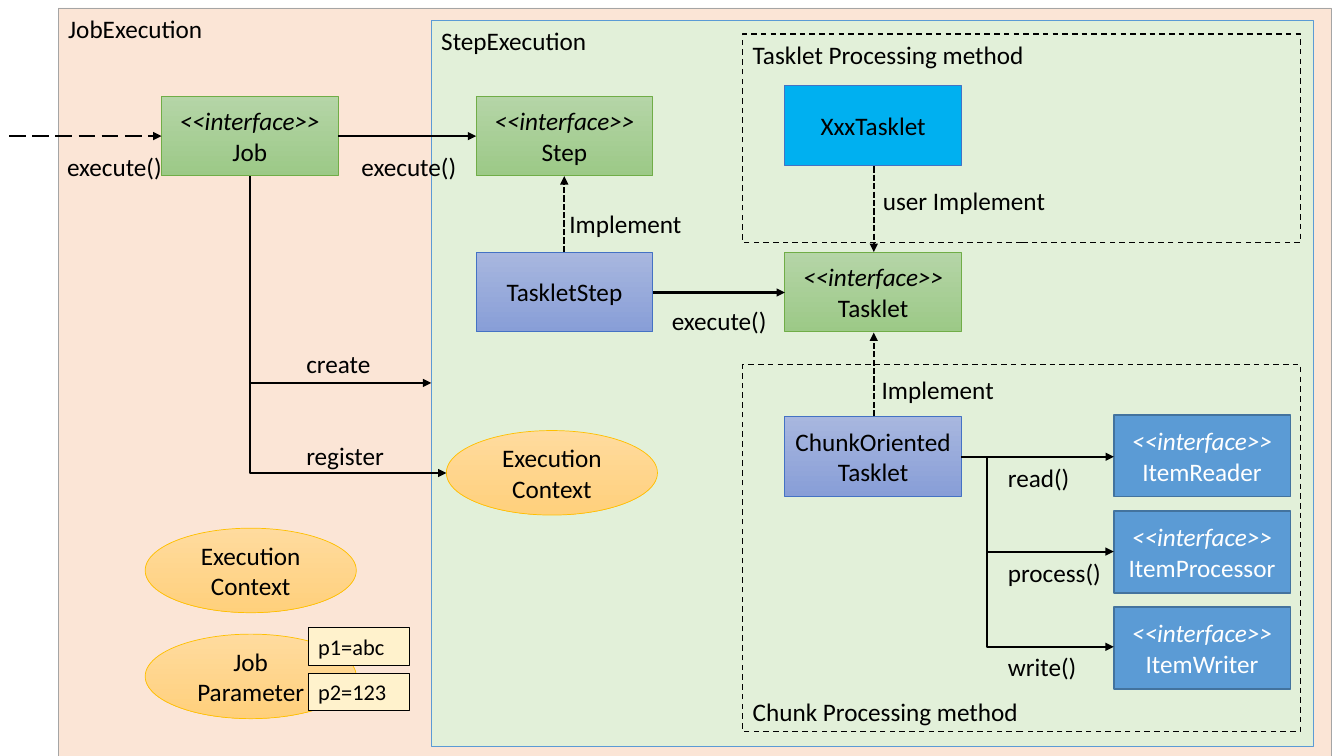
"""Build the slide showing how a job execution drives steps and tasklets."""
from lxml import etree
from pptx import Presentation
from pptx.dml.color import RGBColor
from pptx.enum import dml, shapes, text
from pptx.oxml import ns
from pptx.util import Cm, Pt

BLACK = RGBColor(0x00, 0x00, 0x00)
WHITE = RGBColor(0xFF, 0xFF, 0xFF)
PEACH = RGBColor(0xFB, 0xE5, 0xD6)
GRAY = RGBColor(0xA5, 0xA5, 0xA5)
PALE_GREEN = RGBColor(0xE2, 0xF0, 0xD9)
BLUE = RGBColor(0x5B, 0x9B, 0xD5)
DARK_BLUE = RGBColor(0x43, 0x73, 0x9E)
INDIGO = RGBColor(0x44, 0x72, 0xC4)
SKY = RGBColor(0x00, 0xB0, 0xF0)
GREEN = RGBColor(0x70, 0xAD, 0x47)
GOLD = RGBColor(0xFF, 0xC0, 0x00)
CREAM = RGBColor(0xFF, 0xF2, 0xCC)
GREEN_FADE = (RGBColor(0xB5, 0xD5, 0xA7), RGBColor(0x9C, 0xC9, 0x87))
INDIGO_FADE = (RGBColor(0xA8, 0xB7, 0xDF), RGBColor(0x88, 0x9E, 0xD7))
GOLD_FADE = (RGBColor(0xFF, 0xDB, 0x9E), RGBColor(0xFF, 0xD0, 0x7C))

RECT = shapes.MSO_SHAPE.RECTANGLE
OVAL = shapes.MSO_SHAPE.OVAL
DASH = dml.MSO_LINE.DASH
SHORT_DASH = dml.MSO_LINE.SQUARE_DOT
LONG_DASH = dml.MSO_LINE.LONG_DASH
TOP, MIDDLE, BOTTOM = (text.MSO_ANCHOR.TOP, text.MSO_ANCHOR.MIDDLE,
                       text.MSO_ANCHOR.BOTTOM)
LEFT, CENTER = text.PP_ALIGN.LEFT, text.PP_ALIGN.CENTER

deck = Presentation()
deck.slide_width, deck.slide_height = Cm(33.87), Cm(19.05)
page = deck.slides.add_slide(deck.slide_layouts[6])


def write(box, words, anchor, align, size=18, color=BLACK):
    frame = box.text_frame
    frame.word_wrap = True
    frame.vertical_anchor = anchor
    frame.text = words
    for para in frame.paragraphs:
        para.alignment = align
        para.font.name = "Calibri"
        para.font.size = Pt(size)
        para.font.color.rgb = color
        para.font.italic = para.text.startswith("<<")


def add_box(kind, place, words, fill, edge, weight=0.5, anchor=MIDDLE,
            align=CENTER, size=18, color=BLACK):
    box = page.shapes.add_shape(kind, *[Cm(length) for length in place])
    box.shadow.inherit = False
    if fill is None:
        box.fill.background()
    elif fill in (GREEN_FADE, INDIGO_FADE, GOLD_FADE):
        box.fill.gradient()
        box.fill.gradient_angle = 270
        for stop, shade in zip(box.fill.gradient_stops, fill):
            stop.color.rgb = shade
    else:
        box.fill.solid()
        box.fill.fore_color.rgb = fill
    box.line.color.rgb = edge
    box.line.width = Pt(weight)
    write(box, words, anchor, align, size, color)
    return box


add_box(RECT, (1.47, 0.2, 32.08, 18.85), "JobExecution", PEACH, GRAY,
        anchor=TOP, align=LEFT)
add_box(RECT, (10.87, 0.51, 22.23, 18.31), "StepExecution", PALE_GREEN, BLUE,
        anchor=TOP, align=LEFT)

for top, height, words, anchor in [
    (0.86, 5.26, "Tasklet Processing method", TOP),
    (9.19, 9.25, "Chunk Processing method", BOTTOM),
]:
    method = add_box(RECT, (18.72, top, 14.05, height), words, None, BLACK, 1,
                     anchor, LEFT)
    method.line.dash_style = DASH

for left, top, words, fill, edge in [
    (4.07, 2.42, "<<interface>>\nJob", GREEN_FADE, GREEN),
    (12, 2.42, "<<interface>>\nStep", GREEN_FADE, GREEN),
    (19.78, 6.35, "<<interface>>\nTasklet", GREEN_FADE, GREEN),
    (12, 6.35, "TaskletStep", INDIGO_FADE, INDIGO),
    (19.78, 10.49, "ChunkOriented\nTasklet", INDIGO_FADE, INDIGO),
    (19.78, 2.16, "XxxTasklet", SKY, INDIGO),
]:
    add_box(RECT, (left, top, 4.45, 2.01), words, fill, edge)

for row, name in enumerate(["ItemReader", "ItemProcessor", "ItemWriter"]):
    add_box(RECT, (28.07, 10.46 + 2.42 * row, 4.45, 2.06),
            "<<interface>>\n" + name, BLUE, DARK_BLUE, 1, color=WHITE)

for left, top, words in [
    (3.66, 13.31, "Execution\nContext"),
    (3.66, 15.98, "Job\nParameter"),
    (11.25, 10.85, "Execution\nContext"),
]:
    add_box(OVAL, (left, top, 5.32, 2.13), words, GOLD_FADE, GOLD)

for top, words in [(15.82, "p1=abc"), (16.97, "p2=123")]:
    add_box(RECT, (7.77, top, 2.55, 0.94), words, CREAM, BLACK, 0.75, TOP,
            LEFT, 16)

for left, top, width, words, align in [
    (1.27, 3.68, 3.23, "execute()", CENTER),
    (8.69, 3.68, 3.23, "execute()", CENTER),
    (16.51, 7.57, 3.23, "execute()", CENTER),
    (14.1, 5.11, 3.94, "Implement", LEFT),
    (21.97, 9.3, 3.94, "Implement", LEFT),
    (22, 4.55, 5.56, "user Implement", LEFT),
    (25.15, 11.53, 3.23, "read()", LEFT),
    (25.15, 13.92, 3.23, "process()", LEFT),
    (25.15, 16.28, 3.23, "write()", LEFT),
    (7.47, 8.66, 3.23, "create", LEFT),
    (7.47, 10.97, 3.23, "register", LEFT),
]:
    label = page.shapes.add_textbox(Cm(left), Cm(top), Cm(width), Cm(1.02))
    write(label, words, MIDDLE, align)

for start_x, start_y, end_x, end_y, dash, bend in [
    (0.23, 3.43, 4.07, 3.43, LONG_DASH, None),
    (8.53, 3.43, 12, 3.43, None, None),
    (16.45, 7.37, 19.78, 7.37, None, None),
    (14.22, 6.35, 14.22, 4.44, SHORT_DASH, None),
    (22.02, 4.19, 22.02, 6.35, SHORT_DASH, None),
    (22.02, 10.49, 22.02, 8.38, SHORT_DASH, None),
    (24.23, 11.51, 28.07, 11.51, None, None),
    (24.23, 11.51, 28.07, 13.9, None, 16900),
    (24.23, 11.51, 28.07, 16.3, None, 16900),
    (6.3, 4.44, 10.87, 9.65, None, 0),
    (6.3, 4.44, 11.25, 11.92, None, 0),
]:
    kind = (shapes.MSO_CONNECTOR.STRAIGHT if bend is None
            else shapes.MSO_CONNECTOR.ELBOW)
    arrow = page.shapes.add_connector(kind, Cm(start_x), Cm(start_y),
                                      Cm(end_x), Cm(end_y))
    arrow.line.color.rgb = BLACK
    arrow.line.width = Pt(1.5)
    if dash is not None:
        arrow.line.dash_style = dash
    properties = arrow.element.spPr
    etree.SubElement(properties.find(ns.qn("a:ln")), ns.qn("a:tailEnd"),
                     type="triangle")
    etree.SubElement(properties, ns.qn("a:effectLst"))
    if bend is not None:
        guides = properties.find(ns.qn("a:prstGeom")).find(ns.qn("a:avLst"))
        etree.SubElement(guides, ns.qn("a:gd"), name="adj1", fmla=f"val {bend}")

deck.save("out.pptx")
